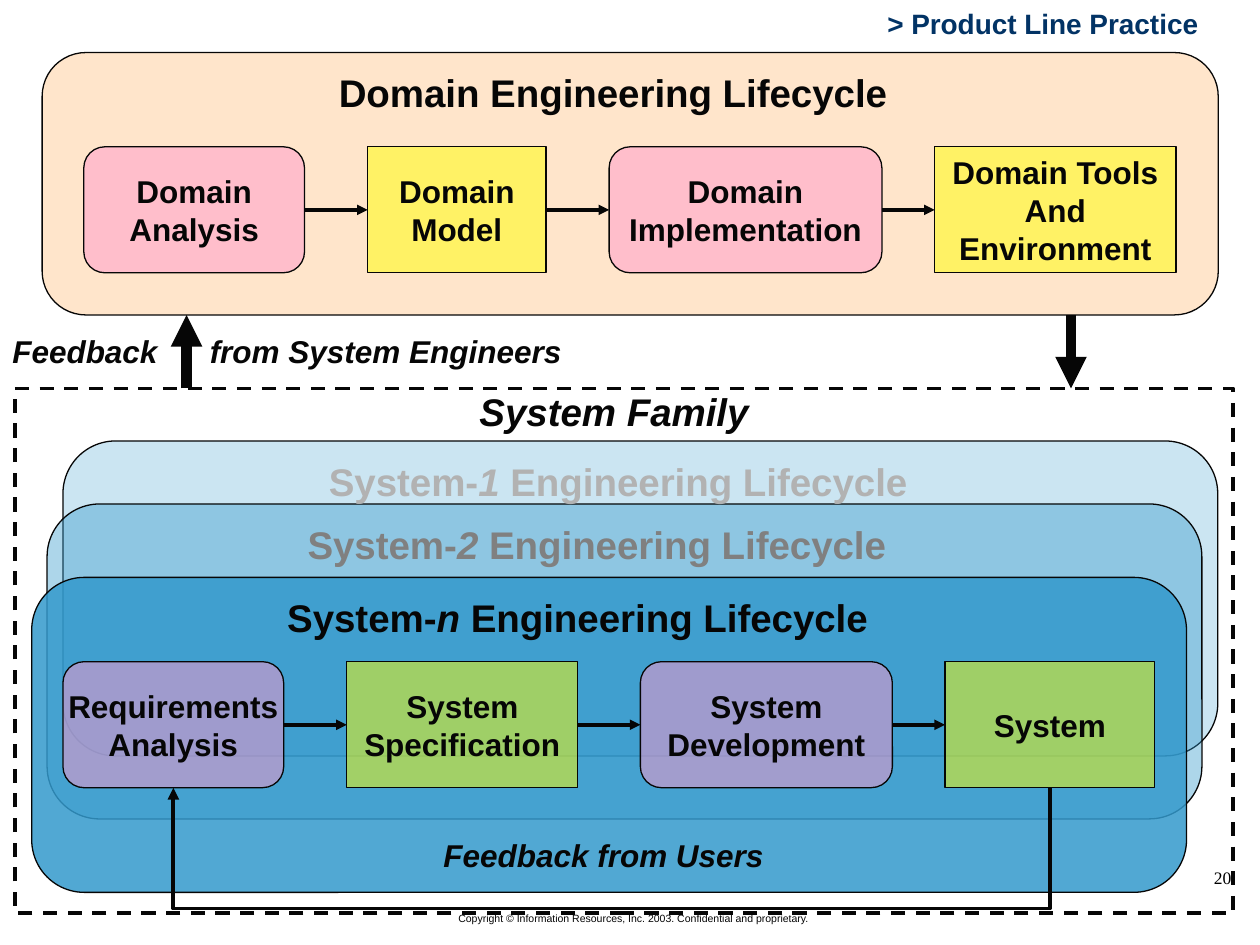
import dataclasses

import lxml.etree
import pptx
import pptx.dml.color
import pptx.enum.dml
import pptx.enum.shapes
import pptx.enum.text
import pptx.oxml
import pptx.oxml.ns
import pptx.util

Cm = pptx.util.Cm
Shape = pptx.enum.shapes.MSO_SHAPE
Connector = pptx.enum.shapes.MSO_CONNECTOR
Align = pptx.enum.text.PP_ALIGN
AutoSize = pptx.enum.text.MSO_AUTO_SIZE
TOP, LEFT, BOTTOM, RIGHT = range(4)


@dataclasses.dataclass(frozen=True)
class Theme:
    ink: str = "060606"
    navy: str = "023365"
    black: str = "000000"
    grey: str = "808080"
    pale_grey: str = "B2B2B2"
    orange: str = "FFCC99"
    blue: str = "3399CC"
    pink: str = "FF99CC"
    yellow: str = "FFFF00"
    sans: str = "Arial"
    serif: str = "Times New Roman"
    title: float = 22
    body: float = 18
    heading: float = 16
    number: float = 10
    small: float = 6
    outline: float = 0.75
    arrow: float = 2
    loop: float = 2.25
    block_arrow: float = 6
    corner: float = 0.167


class LifecycleSlide:
    """Draws the elements of a lifecycle diagram in one style on the current slide."""

    def __init__(self, deck, theme):
        self.theme = theme
        self.slide = deck.slides.add_slide(deck.slide_layouts[6])

    def colour(self, value):
        return pptx.dml.color.RGBColor.from_string(value)

    def child(self, parent, tag, **attributes):
        return lxml.etree.SubElement(parent, pptx.oxml.ns.qn(tag), attributes)

    def format_runs(self, para, size, colour, bold=True, font=None):
        for span in para.runs:
            span.font.size = pptx.util.Pt(size)
            span.font.name = font or self.theme.sans
            span.font.bold = bold
            span.font.color.rgb = self.colour(colour)

    def outline(self, line, width):
        line.width = pptx.util.Pt(width)
        line.color.rgb = self.colour(self.theme.ink)

    def panel(self, left, top, width, height, fill, opacity, rounded=True):
        kind = Shape.ROUNDED_RECTANGLE if rounded else Shape.RECTANGLE
        panel = self.slide.shapes.add_shape(kind, Cm(left), Cm(top), Cm(width), Cm(height))
        panel.shadow.inherit = False
        if rounded:
            panel.adjustments[0] = self.theme.corner
        panel.fill.solid()
        panel.fill.fore_color.rgb = self.colour(fill)
        fill_colour = panel.fill._xPr.find(".//" + pptx.oxml.ns.qn("a:srgbClr"))
        self.child(fill_colour, "a:alpha", val=str(opacity * 1000))
        self.outline(panel.line, self.theme.outline)
        return panel

    def box(self, text, left, top, width, height, rounded):
        fill = self.theme.pink if rounded else self.theme.yellow
        box = self.panel(left, top, width, height, fill, 50, rounded)
        frame = box.text_frame
        frame.text = text
        frame.word_wrap = False
        frame.vertical_anchor = pptx.enum.text.MSO_ANCHOR.MIDDLE
        for para in frame.paragraphs:
            para.alignment = Align.CENTER
            self.format_runs(para, self.theme.body, self.theme.ink)
        return box

    def process(self, steps, top, height=2.54):
        boxes = [self.box(text, left, top, width, height, index % 2 == 0)
                 for index, (text, left, width) in enumerate(steps)]
        for source, target in zip(boxes, boxes[1:]):
            arrow = self.arrow((0, 0), (0, 0), self.theme.arrow)
            arrow.begin_connect(source, RIGHT)
            arrow.end_connect(target, LEFT)
        return boxes

    def arrow(self, start, end, width, kind=Connector.STRAIGHT):
        points = [Cm(value) for value in (*start, *end)]
        arrow = self.slide.shapes.add_connector(kind, *points)
        self.outline(arrow.line, width)
        self.child(arrow.line._get_or_add_ln(), "a:tailEnd", type="triangle")
        self.child(arrow._element.spPr, "a:effectLst")
        return arrow

    def feedback_loop(self, source, target, drop):
        loop = self.arrow((0, 0), (0, 0), self.theme.loop, Connector.ELBOW)
        loop.begin_connect(source, BOTTOM)
        loop.end_connect(target, BOTTOM)
        start = source.left + source.width // 2
        end = target.left + target.width // 2
        base = source.top + source.height
        thin, span = Cm(0.01), start - end
        loop.left, loop.width = (start + end - thin) // 2, thin
        loop.top, loop.height = base - span // 2, span
        properties = loop._element.spPr
        transform = properties.find(pptx.oxml.ns.qn("a:xfrm"))
        transform.attrib.clear()
        transform.set("rot", "5400000")
        geometry = properties.find(pptx.oxml.ns.qn("a:prstGeom"))
        guides = geometry.find(pptx.oxml.ns.qn("a:avLst"))
        if guides is None:
            guides = self.child(geometry, "a:avLst")
        ratio = round(Cm(drop) / thin * 100000)
        self.child(guides, "a:gd", name="adj1", fmla=f"val {ratio}")

    def label(self, text, left, top, width, height, size, colour=None, bold=True,
              italic=False, align=Align.LEFT, font=None, tab=None):
        label = self.slide.shapes.add_textbox(Cm(left), Cm(top), Cm(width), Cm(height))
        frame = label.text_frame
        frame.word_wrap = True
        frame.auto_size = AutoSize.SHAPE_TO_FIT_TEXT
        frame.text = text
        para = frame.paragraphs[0]
        para.alignment = align
        if tab:
            tabs = self.child(para._p.get_or_add_pPr(), "a:tabLst")
            self.child(tabs, "a:tab", pos=str(int(Cm(tab))), algn="l")
        self.format_runs(para, size, colour or self.theme.ink, bold, font)
        for span in para.runs:
            span.font.italic = italic
        return label

    def system_title(self, name, left, top, colour):
        title = self.label("System-", left, top, 12.8, 1.19, self.theme.title)
        para = title.text_frame.paragraphs[0]
        for text, italic in ((name, True), (" Engineering Lifecycle", False)):
            span = para.add_run()
            span.text = text
            span.font.italic = italic
        self.format_runs(para, self.theme.title, colour)

    def dashed_frame(self, left, top, width, height):
        frame = self.slide.shapes.add_shape(
            Shape.RECTANGLE, Cm(left), Cm(top), Cm(width), Cm(height))
        frame.shadow.inherit = False
        frame.fill.background()
        self.outline(frame.line, self.theme.arrow)
        frame.line.dash_style = pptx.enum.dml.MSO_LINE.DASH


def main():
    deck = pptx.Presentation()
    deck.slide_width, deck.slide_height = Cm(25.4), Cm(19.05)
    theme = Theme()
    page = LifecycleSlide(deck, theme)

    page.label("> Product Line Practice", 0.64, 0, 23.77, 0.94, theme.heading,
               theme.navy, align=Align.RIGHT)
    page.label("Copyright © Information Resources, Inc. 2003. Confidential and proprietary.",
               8.99, 18.26, 12.7, 0.5, theme.small, bold=False)

    page.panel(0.85, 1.06, 23.71, 5.29, theme.orange, 50)
    page.label("Domain Engineering Lifecycle", 6.58, 1.27, 12.2, 1.19, theme.title)
    page.process([("Domain\nAnalysis", 1.69, 4.45), ("Domain\nModel", 7.41, 3.6),
                  ("Domain\nImplementation", 12.28, 5.5),
                  ("Domain Tools\nAnd\nEnvironment", 18.84, 4.87)], 2.96)

    systems = [("1", 1.27, 8.89, 25, 6.38, theme.pale_grey),
               ("2", 0.95, 10.16, 40, 5.95, theme.grey),
               ("n", 0.64, 11.64, 85, 5.54, theme.ink)]
    for name, left, top, opacity, title_left, colour in systems:
        page.panel(left, top, 23.28, 6.35, theme.blue, opacity)
    for name, left, top, opacity, title_left, colour in systems:
        page.system_title(name, title_left, top + 0.21, colour)
    boxes = page.process([("Requirements\nAnalysis", 1.27, 4.45),
                          ("System\nSpecification", 6.99, 4.66),
                          ("System\nDevelopment", 12.91, 5.08),
                          ("System", 19.05, 4.23)], 13.34)
    page.feedback_loop(boxes[-1], boxes[0], 2.44)
    page.label("Feedback from Users", 8.69, 16.73, 7.4, 1.02, theme.body, italic=True)

    page.arrow((3.76, 7.83), (3.76, 6.35), theme.block_arrow)
    page.arrow((21.59, 6.35), (21.59, 7.83), theme.block_arrow)
    page.label("System Family", 9.08, 7.7, 6.6, 1.19, theme.title,
               italic=True, align=Align.CENTER)
    page.label("Feedback\tfrom System Engineers", 0, 6.57, 12, 1.02, theme.body,
               italic=True, tab=3.98)
    page.dashed_frame(0.3, 7.83, 24.56, 10.58)
    page.label("20", 23.37, 17.35, 1.7, 0.69, theme.number, theme.black, bold=False,
               align=Align.RIGHT, font=theme.serif)
    deck.save("out.pptx")


if __name__ == "__main__":
    main()
